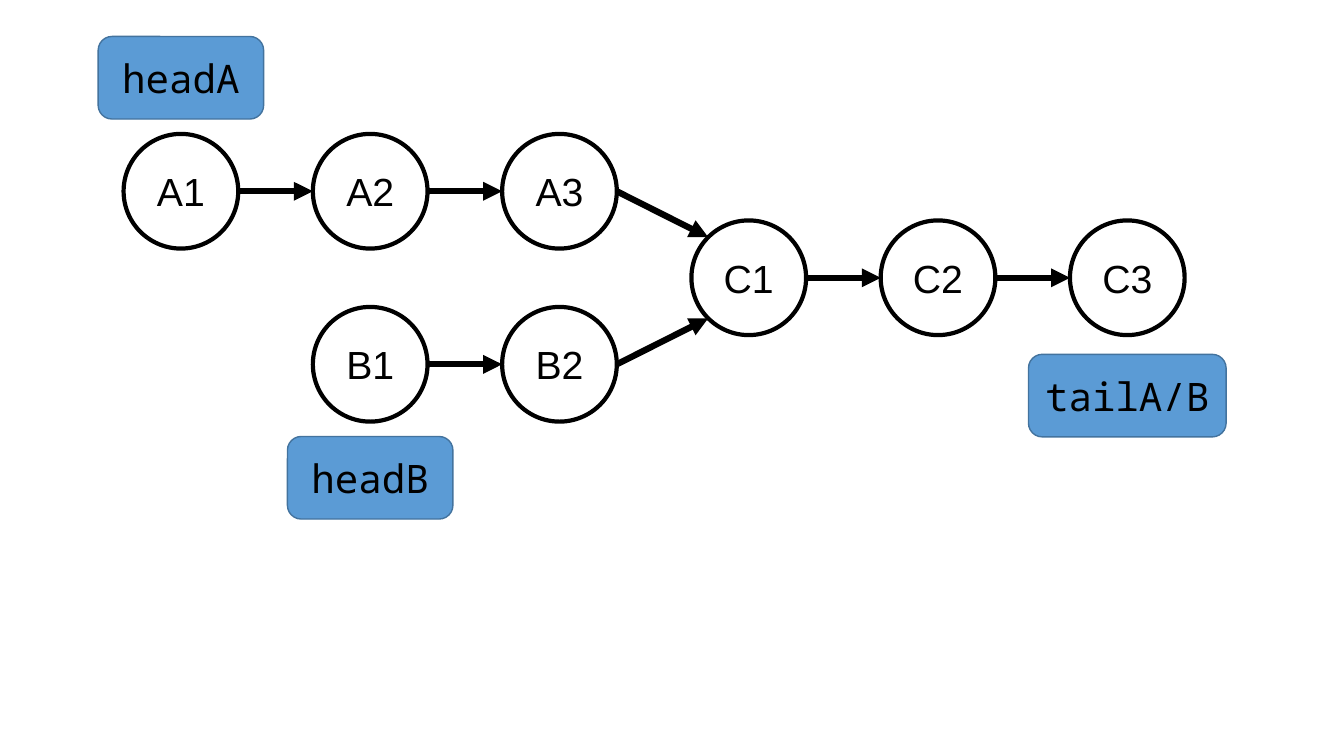
import math

from pptx import Presentation
from pptx import util as u
from pptx.dml.color import RGBColor
from pptx.enum import shapes, text
from pptx.oxml.ns import qn
from lxml import etree

# Layout in centimetres: node centres sit on a grid
FIRST_X, FIRST_Y = 4.56, 4.82
COLUMN_STEP, ROW_STEP = 4.77, 2.18
DIAMETER = 2.89

# Name: (column, row)
NODES = {
    "A1": (0, 0), "A2": (1, 0), "A3": (2, 0),
    "B1": (1, 2), "B2": (2, 2),
    "C1": (3, 1), "C2": (4, 1), "C3": (5, 1),
}
LINKS = [("A1", "A2"), ("A2", "A3"), ("A3", "C1"), ("B1", "B2"),
         ("B2", "C1"), ("C1", "C2"), ("C2", "C3")]
# Text, node it belongs to, centre height, width
LABELS = [("headA", "A1", 1.96, 4.17), ("headB", "B1", 12.04, 4.17),
          ("tailA/B", "C3", 9.97, 4.98)]


def color(value):
    return RGBColor.from_string(value)


def write(shape, content, font="Arial", size=28, ink="000000"):
    frame = shape.text_frame
    frame.word_wrap = False
    frame.vertical_anchor = text.MSO_ANCHOR.MIDDLE
    paragraph = frame.paragraphs[0]
    paragraph.alignment = text.PP_ALIGN.CENTER
    run = paragraph.add_run()
    run.text = content
    run.font.name = font
    run.font.size = u.Pt(size)
    run.font.color.rgb = color(ink)


def center(name):
    column, row = NODES[name]
    return FIRST_X + column * COLUMN_STEP, FIRST_Y + row * ROW_STEP


def rim(name, degrees):
    """Point on a node's circle, measured clockwise from its right side."""
    x, y = center(name)
    angle = math.radians(degrees)
    return x + DIAMETER / 2 * math.cos(angle), y + DIAMETER / 2 * math.sin(angle)


class ListDiagram:
    ink, paper = "000000", "FFFFFF"
    label_fill, label_line = "5B9BD5", "43739E"
    label_font, label_height = "Noto Sans Mono", 2.08

    def __init__(self, slide):
        self.slide = slide

    def box(self, kind, x, y, width, height, fill, line, weight):
        shape = self.slide.shapes.add_shape(
            kind, u.Cm(x - width / 2), u.Cm(y - height / 2), u.Cm(width), u.Cm(height))
        shape.shadow.inherit = False
        shape.fill.solid()
        shape.fill.fore_color.rgb = color(fill)
        shape.line.color.rgb = color(line)
        shape.line.width = u.Pt(weight)
        return shape

    def node(self, name):
        shape = self.box(shapes.MSO_SHAPE.OVAL, *center(name), DIAMETER, DIAMETER,
                         self.paper, self.ink, 3)
        write(shape, name, ink=self.ink)

    def label(self, content, name, y, width):
        shape = self.box(shapes.MSO_SHAPE.ROUNDED_RECTANGLE, center(name)[0], y,
                         width, self.label_height, self.label_fill, self.label_line, 1)
        write(shape, content, font=self.label_font, ink=self.ink)

    def arrow(self, source, target):
        # Links from another row arrive at the upper or lower left of the target
        rows_down = NODES[target][1] - NODES[source][1]
        ends = (*rim(source, 0), *rim(target, 180 + 45 * rows_down))
        connector = self.slide.shapes.add_connector(
            shapes.MSO_CONNECTOR.STRAIGHT, *(u.Cm(value) for value in ends))
        connector.line.color.rgb = color(self.ink)
        connector.line.width = u.Pt(4.5)
        etree.SubElement(connector.line._get_or_add_ln(), qn("a:tailEnd"), type="triangle")
        etree.SubElement(connector._element.spPr, qn("a:effectLst"))


def main():
    presentation = Presentation()
    presentation.slide_width, presentation.slide_height = u.Cm(33.87), u.Cm(19.05)
    diagram = ListDiagram(presentation.slides.add_slide(presentation.slide_layouts[6]))

    # Nodes, then the arrows that join them
    for name in NODES:
        diagram.node(name)
    for source, target in LINKS:
        diagram.arrow(source, target)

    # Head and tail labels
    for label in LABELS:
        diagram.label(*label)

    presentation.save("out.pptx")


if __name__ == "__main__":
    main()
